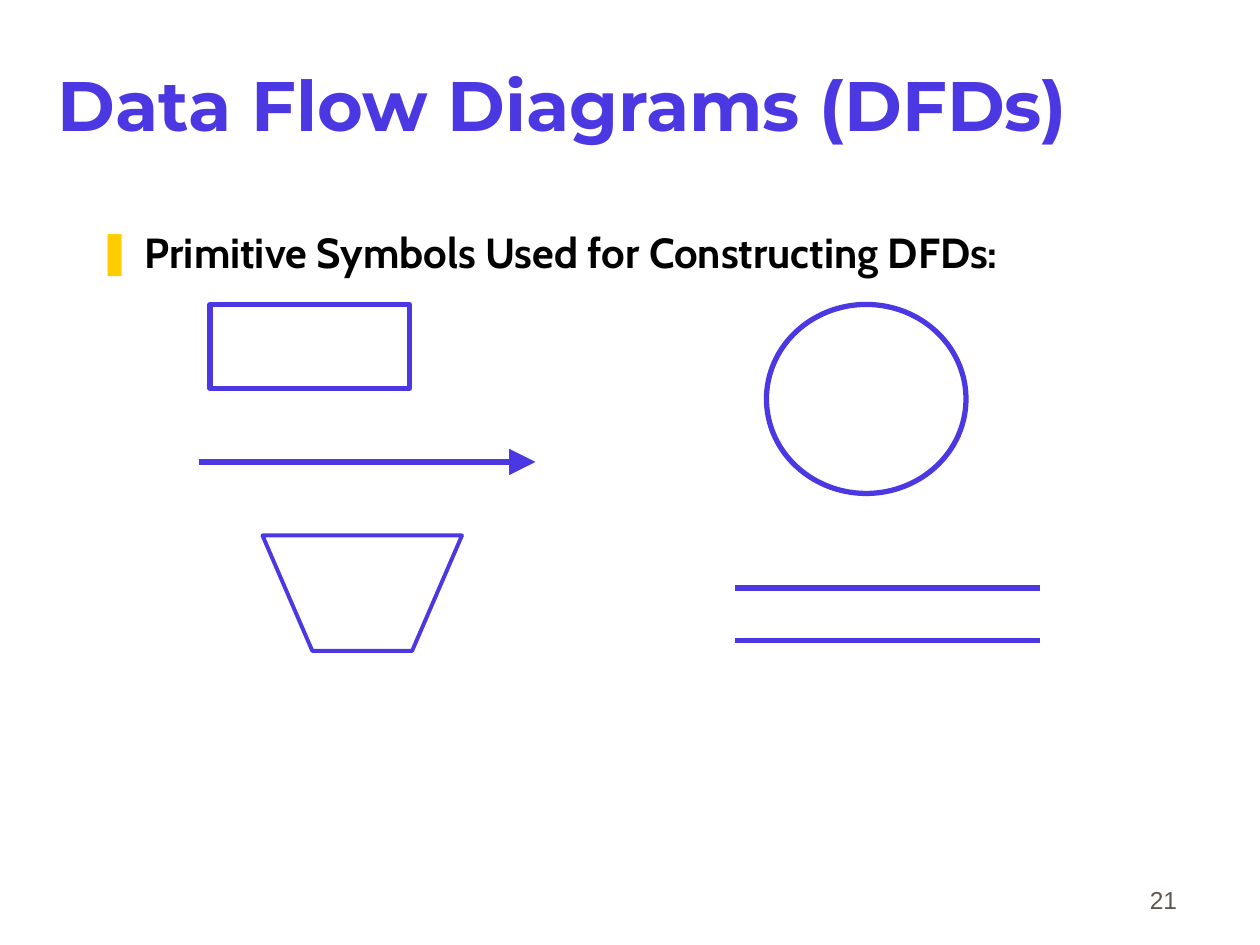
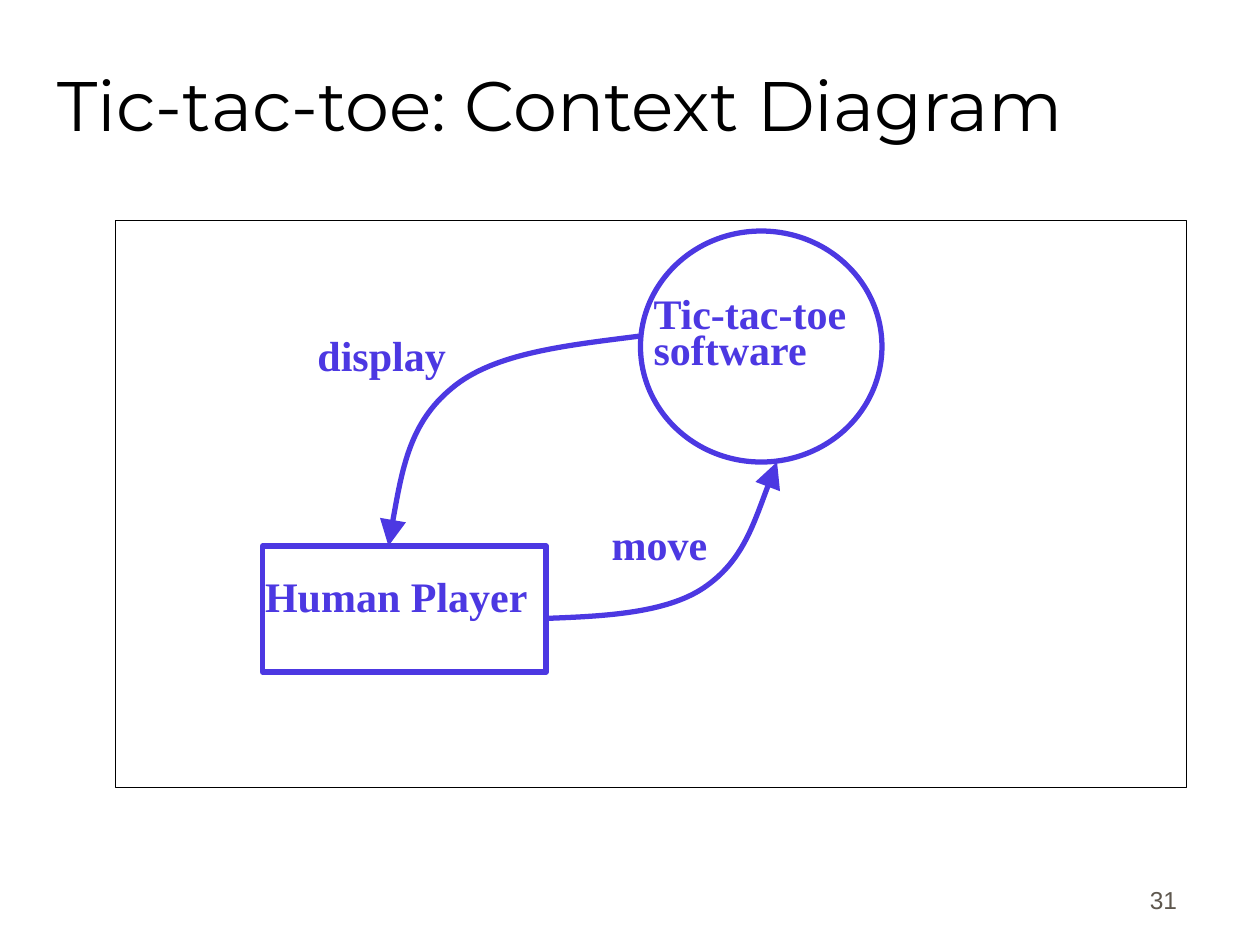
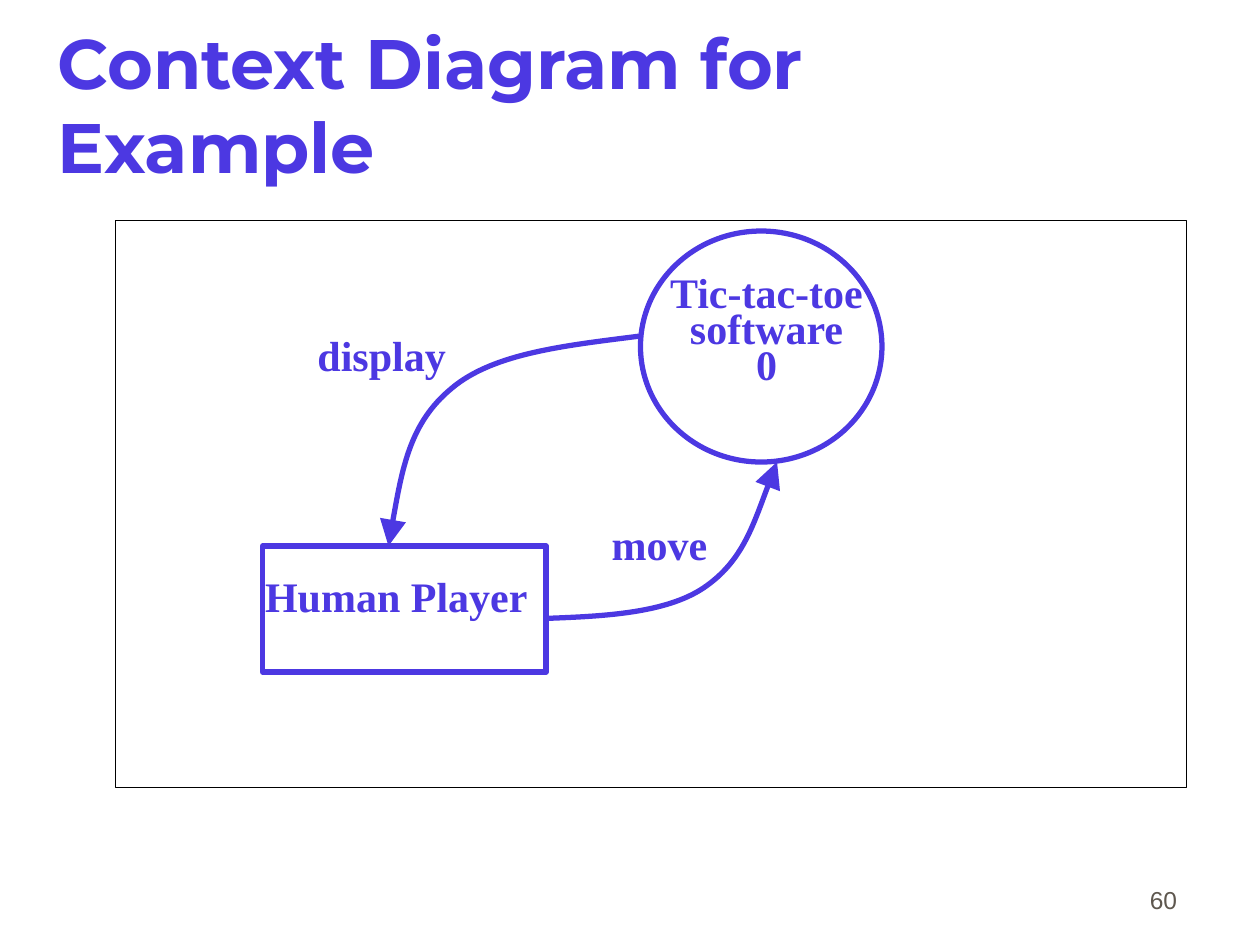
from dataclasses import dataclass

import lxml.etree
import pptx
import pptx.util
from pptx.dml.color import RGBColor
from pptx.enum.shapes import MSO_CONNECTOR, MSO_SHAPE
from pptx.enum.text import MSO_ANCHOR, MSO_AUTO_SIZE, PP_ALIGN
from pptx.oxml.ns import qn

# Shared colours and grid: twelve cells to the inch, 120 columns by 90 rows
VIOLET = RGBColor(0x4C, 0x38, 0xE2)
BLACK = RGBColor(0x00, 0x00, 0x00)
GREY = RGBColor(0x5E, 0x57, 0x4E)
BULLET_YELLOW = RGBColor(0xFF, 0xCC, 0x00)
CELL = pptx.util.Inches(1) // 12
COLUMNS, ROWS = 120, 90
SYMBOL_LINE = 3


@dataclass(frozen=True)
class Box:
    col: float
    row: float
    cols: float
    rows: float

    def emu(self) -> tuple:
        return tuple(cells(v) for v in (self.col, self.row, self.cols, self.rows))


@dataclass(frozen=True)
class TextStyle:
    font: str
    size: float
    color: RGBColor
    bold: bool = False
    before: float = 0
    spacing: float = 1.0
    align: PP_ALIGN = PP_ALIGN.LEFT
    anchor: MSO_ANCHOR = MSO_ANCHOR.TOP
    side_inset: float = 0.02


@dataclass(frozen=True)
class Label:
    text: str
    box: Box
    align: PP_ALIGN = PP_ALIGN.LEFT


TITLE_BOX = Box(5.25, 2.4, 102, 15)
BODY_BOX = Box(9, 21, 102, 54)
FRAME_BOX = Box(11, 21, 102, 54)
PAGE_BOX = Box(88.3, 81.7, 25, 6)

BODY_STYLE = TextStyle("Cabin", 24, BLACK, bold=True, before=5.4)
PAGE_STYLE = TextStyle("Arial", 14, GREY, before=8.8, align=PP_ALIGN.RIGHT,
                       anchor=MSO_ANCHOR.BOTTOM, side_inset=0.1)

# Parts of the context diagram
SOFTWARE_CIRCLE = Box(61, 22, 23, 22)
PLAYER_BOX = Box(25, 52, 27, 12)
FLOW_LABELS = [
    Label("Human Player", Box(25, 55, 28, 6)),
    Label("display", Box(30, 32, 18, 6)),
    Label("move", Box(58, 50, 21, 6)),
]
DISPLAY_FLOW = [(61, 32), (54, 32.9), (47, 33.6), (43, 37),
                (39, 40.3), (38, 46.1), (37, 52)]
MOVE_FLOW = [(52, 58.9), (57.6, 58.7), (63.4, 58.4), (67, 56),
             (70.7, 53.5), (72.2, 48.7), (74, 44)]


def cells(n: float) -> int:
    return round(n * CELL)


# Text
def format_text(shape, text: str, style: TextStyle) -> None:
    tf = shape.text_frame
    tf.text = text
    tf.word_wrap = True
    tf.auto_size = MSO_AUTO_SIZE.NONE
    tf.vertical_anchor = style.anchor
    tf.margin_left = tf.margin_right = pptx.util.Inches(style.side_inset)
    tf.margin_top = tf.margin_bottom = pptx.util.Inches(0.05)
    for p in tf.paragraphs:
        p.alignment = style.align
        p.line_spacing = style.spacing
        p.space_before = pptx.util.Pt(style.before)
        for r in p.runs:
            r.font.name = style.font
            r.font.size = pptx.util.Pt(style.size)
            r.font.bold = style.bold
            r.font.color.rgb = style.color


def add_text(s, text: str, box: Box, style: TextStyle) -> None:
    format_text(s.shapes.add_textbox(*box.emu()), text, style)


def place(shape, box: Box) -> None:
    shape.left, shape.top, shape.width, shape.height = box.emu()


def add_bullet(p) -> None:
    pPr = p._p.get_or_add_pPr()
    pPr.set("marL", str(pptx.util.Inches(0.38)))
    pPr.set("indent", str(-pptx.util.Inches(0.38)))
    color = lxml.etree.SubElement(pPr, qn("a:buClr"))
    lxml.etree.SubElement(color, qn("a:srgbClr"), val=str(BULLET_YELLOW))
    lxml.etree.SubElement(pPr, qn("a:buChar"), char="❚")


# Outlines, lines and arrows
def outline(shape, width: float = SYMBOL_LINE, color: RGBColor = VIOLET) -> None:
    shape.fill.background()
    shape.line.color.rgb = color
    shape.line.width = pptx.util.Pt(width)
    shape.shadow.inherit = False


def add_arrowhead(shape) -> None:
    ln = shape.element.spPr.find(qn("a:ln"))
    lxml.etree.SubElement(ln, qn("a:tailEnd"), type="triangle", w="lg", len="lg")


def add_rectangle(s, box: Box, **line) -> None:
    shape = s.shapes.add_shape(MSO_SHAPE.ROUNDED_RECTANGLE, *box.emu())
    shape.adjustments[0] = 0
    outline(shape, **line)


def add_circle(s, box: Box) -> None:
    outline(s.shapes.add_shape(MSO_SHAPE.OVAL, *box.emu()))


def add_line(s, col: float, row: float, cols: float, arrow: bool = False) -> None:
    line = s.shapes.add_connector(MSO_CONNECTOR.STRAIGHT, cells(col), cells(row),
                                  cells(col + cols), cells(row))
    line.line.color.rgb = VIOLET
    line.line.width = pptx.util.Pt(SYMBOL_LINE)
    lxml.etree.SubElement(line.element.spPr, qn("a:effectLst"))
    if arrow:
        add_arrowhead(line)


def add_outline_path(s, points: list, close: bool, width: float = SYMBOL_LINE):
    start, *rest = [(cells(x), cells(y)) for x, y in points]
    builder = s.shapes.build_freeform(*start)
    builder.add_line_segments(rest, close=close)
    shape = builder.convert_to_shape()
    outline(shape, width)
    return shape


def add_flow(s, points: list) -> None:
    """Draw a curved arrow; each three points after the first make a Bezier."""
    shape = add_outline_path(s, points, close=False)
    segments = list(shape.element.iter(qn("a:lnTo")))
    for first, second, third in zip(*[iter(segments)] * 3):
        first.tag = qn("a:cubicBezTo")
        for segment in (second, third):
            first.append(segment[0])
            segment.getparent().remove(segment)
    add_arrowhead(shape)


# Slides
def add_slide(prs, layout: int, title: str, page: int,
              color: RGBColor = VIOLET, bold: bool = True):
    s = prs.slides.add_slide(prs.slide_layouts[layout])
    style = TextStyle("Montserrat", 40, color, bold, before=9.9,
                      anchor=MSO_ANCHOR.MIDDLE)
    place(s.shapes.title, TITLE_BOX)
    format_text(s.shapes.title, title, style)
    add_text(s, str(page), PAGE_BOX, PAGE_STYLE)
    return s


def add_symbols_slide(prs) -> None:
    s = add_slide(prs, 1, "Data Flow Diagrams (DFDs)", 21)
    body = s.placeholders[1]
    place(body, BODY_BOX)
    format_text(body, "Primitive Symbols Used for Constructing DFDs:", BODY_STYLE)
    add_bullet(body.text_frame.paragraphs[0])
    add_rectangle(s, Box(20, 29, 19, 8))
    add_circle(s, Box(73, 29, 19, 18))
    add_line(s, 19, 44, 32, arrow=True)
    for row in (56, 61):
        add_line(s, 70, row, 29)
    add_outline_path(s, [(25, 51), (44, 51), (39.25, 62), (29.75, 62)],
                     close=True, width=2.25)


def add_context_diagram(s, software: Label) -> None:
    add_rectangle(s, FRAME_BOX, width=0.75, color=BLACK)
    add_circle(s, SOFTWARE_CIRCLE)
    add_rectangle(s, PLAYER_BOX)
    for flow in (DISPLAY_FLOW, MOVE_FLOW):
        add_flow(s, flow)
    for label in [software, *FLOW_LABELS]:
        style = TextStyle("Times New Roman", 24, VIOLET, bold=True, before=13.6,
                          spacing=0.72, align=label.align)
        add_text(s, label.text, label.box, style)


def main() -> None:
    prs = pptx.Presentation()
    prs.slide_width, prs.slide_height = cells(COLUMNS), cells(ROWS)
    add_symbols_slide(prs)

    s = add_slide(prs, 5, "Tic-tac-toe: Context Diagram", 31, BLACK, bold=False)
    add_context_diagram(s, Label("Tic-tac-toe software", Box(62, 28, 22, 10.8)))

    s = add_slide(prs, 5, "Context Diagram for Example", 60)
    add_context_diagram(s, Label("Tic-tac-toe software\v0", Box(62, 26, 22, 15.6),
                                 PP_ALIGN.CENTER))
    prs.save("out.pptx")


if __name__ == "__main__":
    main()
